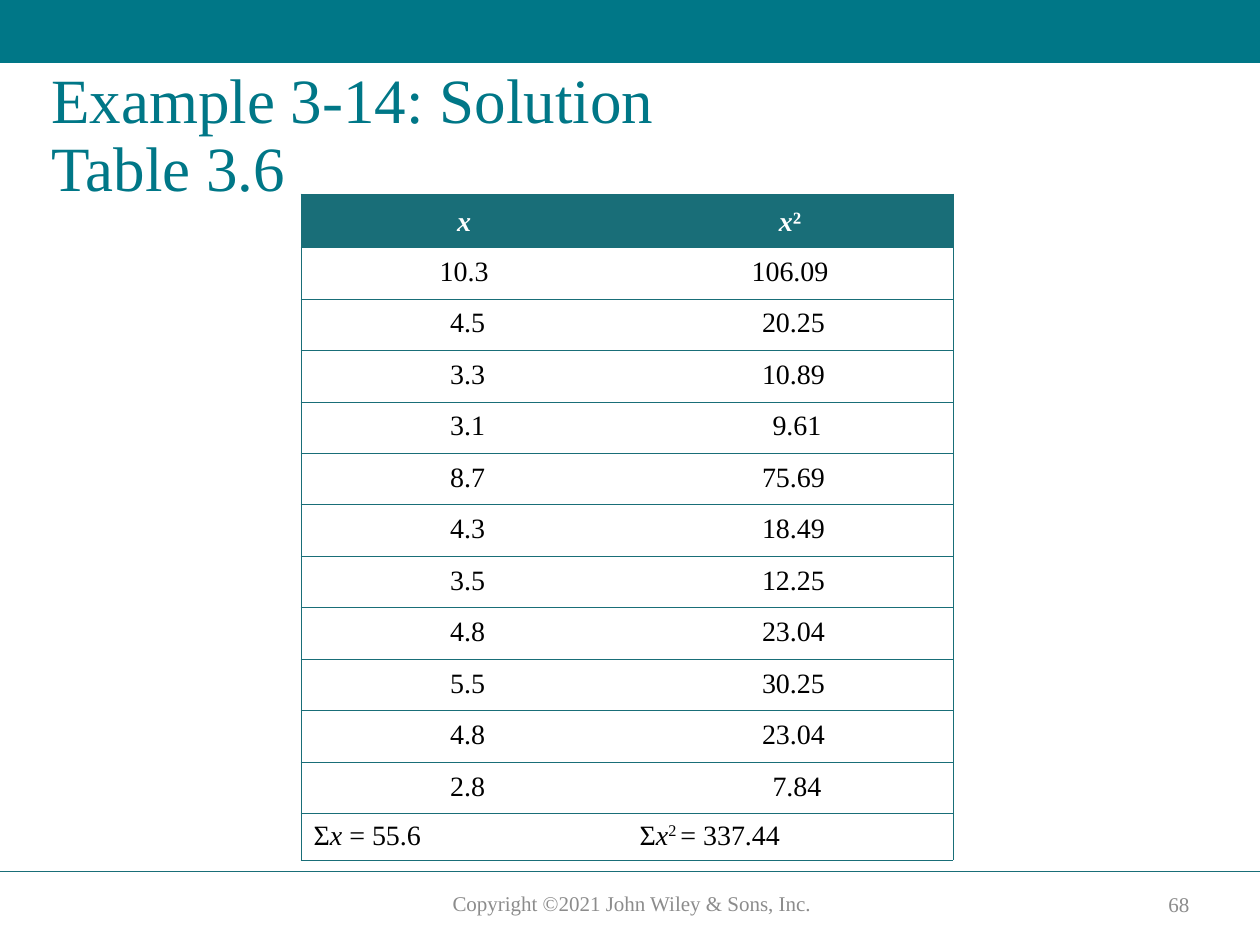
from lxml import etree
from pptx import Presentation
from pptx.dml.color import RGBColor
from pptx.enum import shapes, text
from pptx.oxml import ns
from pptx.util import Cm, Pt

TEAL = RGBColor(0x00, 0x77, 0x87)
DARK_TEAL = RGBColor(0x19, 0x6E, 0x78)
GRAY = RGBColor(0x8C, 0x8C, 0x8C)
WHITE = RGBColor(0xFF, 0xFF, 0xFF)
BLACK = RGBColor(0x00, 0x00, 0x00)
FONT = "Times New Roman"

TITLE = "Example 3-14: Solution\vTable 3.6"
COPYRIGHT = "Copyright ©2021 John Wiley & Sons, Inc."
PAGE = "68"
HEADER = [[("x", "i")], [("x", "i"), ("²", "")]]
VALUES = [
    ("10.3", "106.09"), ("4.5", "20.25"), ("3.3", "10.89"), ("3.1", "9.61"),
    ("8.7", "75.69"), ("4.3", "18.49"), ("3.5", "12.25"), ("4.8", "23.04"),
    ("5.5", "30.25"), ("4.8", "23.04"), ("2.8", "7.84"),
]
TOTALS = [
    [("Σ", ""), ("x", "i"), (" = 55.6", "")],
    [("Σ", ""), ("x", "i"), ("2 ", "sup"), ("= 337.44", "")],
]
HEADER_H, VALUE_H, TOTAL_H = Cm(1.05), Cm(0.98), Cm(0.87)
COL_W = Cm(6.57)
DIGIT_INDENT = Cm(0.14)


def set_font(font, color, **values):
    font.color.rgb = color
    for name, value in {"name": FONT, **values}.items():
        setattr(font, name, value)


def add_text(s, content, box, size, color, align, anchor, spacing=None):
    tf = s.shapes.add_textbox(*map(Cm, box)).text_frame
    tf.word_wrap = True
    tf.vertical_anchor = anchor
    p = tf.paragraphs[0]
    p.text = content
    p.alignment = align
    p.line_spacing = spacing
    for r in p.runs:
        set_font(r.font, color, size=Pt(size))


def set_borders(cell, visible):
    tcPr = cell._tc.get_or_add_tcPr()
    for side in "LRTB":
        ln = etree.SubElement(tcPr, ns.qn(f"a:ln{side}"), w=str(Pt(0.5)))
        if side in visible:
            fill = etree.SubElement(ln, ns.qn("a:solidFill"))
            etree.SubElement(fill, ns.qn("a:srgbClr"), val=str(DARK_TEAL))
        else:
            etree.SubElement(ln, ns.qn("a:noFill"))


def fill_cell(cell, runs, color, back, bold=False):
    cell.fill.solid()
    cell.fill.fore_color.rgb = back
    p = cell.text_frame.paragraphs[0]
    for content, style in runs:
        r = p.add_run()
        r.text = content
        set_font(r.font, color, size=Pt(16), bold=bold, italic=style == "i")
        if style == "sup":
            r._r.get_or_add_rPr().set("baseline", "30000")
    return p


def add_table(s):
    heights = [HEADER_H] + [VALUE_H] * len(VALUES) + [TOTAL_H]
    table = s.shapes.add_table(len(heights), 2, Cm(6.07), Cm(3.91),
                               2 * COL_W, sum(heights)).table
    table.horz_banding = False
    for row, height in zip(table.rows, heights):
        row.height = height
    for col in range(2):
        table.columns[col].width = COL_W
        longest = max(len(row[col]) for row in VALUES)
        cells = [table.cell(row, col) for row in range(len(heights))]
        for cell in cells:
            set_borders(cell, "TB" + "LR"[col])

        head, *body, total = cells
        for margin in ("left", "right", "top", "bottom"):
            setattr(head, f"margin_{margin}", Cm(0.2))
        head.vertical_anchor = text.MSO_ANCHOR.BOTTOM
        p = fill_cell(head, HEADER[col], WHITE, DARK_TEAL, bold=True)
        p.alignment = text.PP_ALIGN.CENTER

        for cell, row in zip(body, VALUES):
            cell.margin_left = cell.margin_right = Cm(0.2)
            cell.margin_top = cell.margin_bottom = Cm(0.18)
            p = fill_cell(cell, [(row[col], "")], BLACK, WHITE)
            p.alignment = text.PP_ALIGN.CENTER
            p.space_after = Pt(3)
            indent = (longest - len(row[col])) * DIGIT_INDENT
            p._p.get_or_add_pPr().set("marL", str(indent))

        fill_cell(total, TOTALS[col], BLACK, WHITE)


def main():
    prs = Presentation()
    prs.slide_width, prs.slide_height = Cm(25.4), Cm(19.05)
    s = prs.slides.add_slide(prs.slide_layouts[6])

    bar = s.shapes.add_shape(shapes.MSO_SHAPE.RECTANGLE, 0, 0, prs.slide_width, Cm(1.27))
    bar.shadow.inherit = False
    bar.fill.solid()
    bar.fill.fore_color.rgb = TEAL
    bar.line.fill.background()

    rule = s.shapes.add_connector(shapes.MSO_CONNECTOR.STRAIGHT, 0, Cm(17.57),
                                  prs.slide_width, Cm(17.57))
    rule.line.color.rgb = DARK_TEAL
    rule.line.width = Pt(1)
    etree.SubElement(rule._element.spPr, ns.qn("a:effectLst"))

    left, center = text.PP_ALIGN.LEFT, text.PP_ALIGN.CENTER
    top, middle = text.MSO_ANCHOR.TOP, text.MSO_ANCHOR.MIDDLE
    add_text(s, COPYRIGHT, (8.18, 17.83, 9.12, 0.77), 12, GRAY, center, top)
    add_text(s, PAGE, (22.99, 17.88, 1.55, 0.71), 12, GRAY, center, middle)
    add_text(s, TITLE, (0.79, 1.27, 23.7, 3.18), 36, TEAL, left, top, 0.9)
    add_table(s)
    prs.save("out.pptx")


if __name__ == "__main__":
    main()
